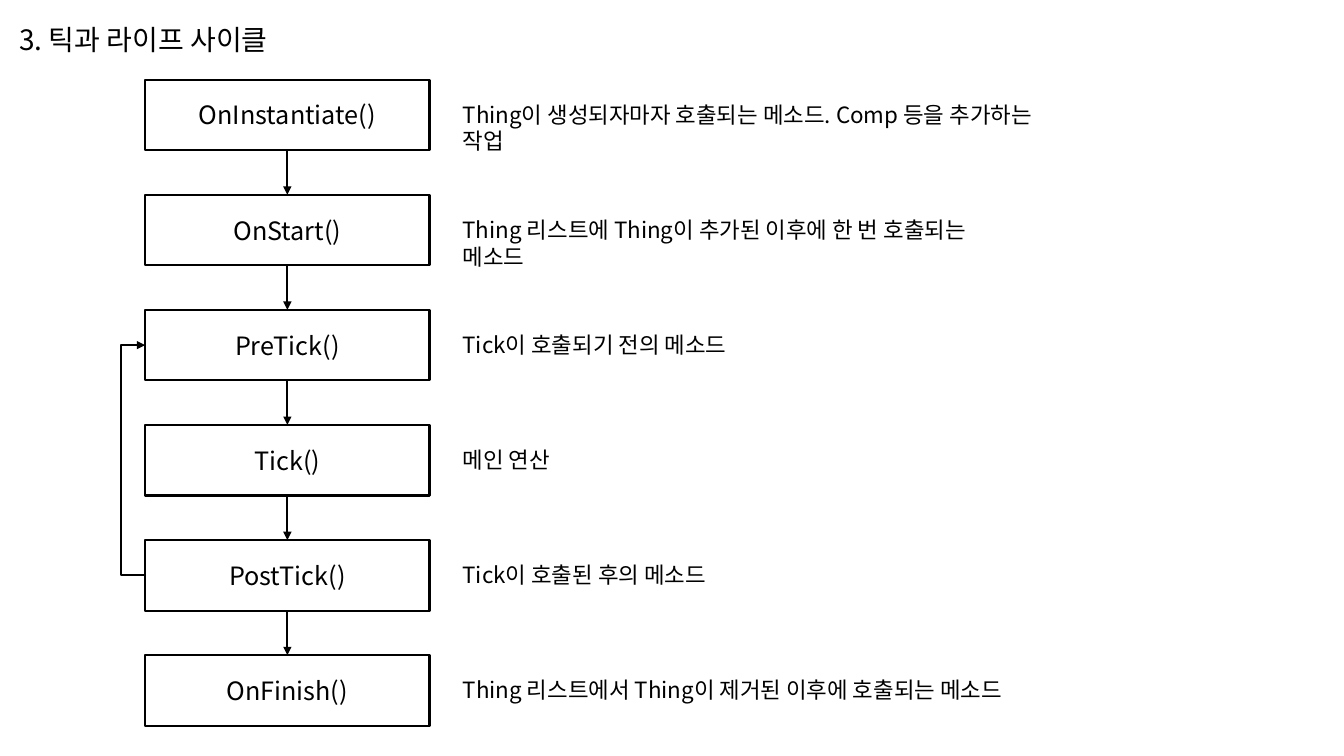
from dataclasses import dataclass

from lxml.etree import SubElement as Sub
from pptx import Presentation
from pptx.dml.color import RGBColor as Rgb
from pptx.enum.shapes import MSO_CONNECTOR as Link, MSO_SHAPE as Form
from pptx.enum.text import MSO_ANCHOR as Anchor, MSO_AUTO_SIZE as Fit, PP_ALIGN as Align
from pptx.oxml.ns import qn
from pptx.util import Inches, Pt


@dataclass(frozen=True)
class Theme:
    font: str = "Noto Sans CJK KR"
    ink: Rgb = Rgb(0, 0, 0)
    paper: Rgb = Rgb(255, 255, 255)
    head: int = 20
    label: int = 18
    note: int = 16
    line: float = 1.5


class Board:
    """Draws styled elements on one slide."""

    def __init__(self, slide, theme):
        self.slide = slide
        self.theme = theme

    def text(self, frame, words, size, align=Align.LEFT):
        para = frame.paragraphs[0]
        para.alignment = align
        run = para.add_run()
        run.text = words
        run.font.size = Pt(size)
        run.font.color.rgb = self.theme.ink
        run.font.name = self.theme.font
        Sub(run._r.get_or_add_rPr(), qn("a:ea"), typeface=self.theme.font)

    def flow(self, frame, words, size):
        frame.word_wrap = False
        frame.auto_size = Fit.SHAPE_TO_FIT_TEXT
        frame.vertical_anchor = Anchor.TOP
        self.text(frame, words, size)

    def title(self, words, left, top, width, height):
        head = self.slide.shapes.title
        head.left, head.top = Inches(left), Inches(top)
        head.width, head.height = Inches(width), Inches(height)
        self.flow(head.text_frame, words, self.theme.head)

    def note(self, words, left, top, width, height):
        area = map(Inches, (left, top, width, height))
        box = self.slide.shapes.add_textbox(*area)
        self.flow(box.text_frame, words, self.theme.note)

    def box(self, words, left, top, width, height):
        area = map(Inches, (left, top, width, height))
        box = self.slide.shapes.add_shape(Form.RECTANGLE, *area)
        box.shadow.inherit = False
        box.fill.solid()
        box.fill.fore_color.rgb = self.theme.paper
        box.line.color.rgb = self.theme.ink
        box.line.width = Pt(self.theme.line)
        box.text_frame.vertical_anchor = Anchor.MIDDLE
        self.text(box.text_frame, words, self.theme.label, Align.CENTER)
        return box

    def arrow(self, kind, start, end):
        ends = map(Inches, (*start, *end))
        link = self.slide.shapes.add_connector(kind, *ends)
        link.line.color.rgb = self.theme.ink
        link.line.width = Pt(self.theme.line)
        Sub(link.line._get_or_add_ln(), qn("a:tailEnd"), type="triangle")
        Sub(link._element.spPr, qn("a:effectLst"))
        return link

    def down(self, upper, lower):
        link = self.arrow(Link.STRAIGHT, (0, 0), (0, 0))
        link.begin_connect(upper, 2)
        link.end_connect(lower, 0)

    def loop(self, start, end, reach):
        link = self.arrow(Link.ELBOW, start, end)
        bend = round(reach / (start[0] - end[0]) * 100000)
        guides = link._element.spPr.find(qn("a:prstGeom")).get_or_add_avLst()
        Sub(guides, qn("a:gd"), name="adj1", fmla=f"val {bend}")


STEPS = [
    ("OnInstantiate()", "Thing이 생성되자마자 호출되는 메소드. Comp 등을 추가하는 작업", 6.25),
    ("OnStart()", "Thing 리스트에 Thing이 추가된 이후에 한 번 호출되는 메소드", 5.84),
    ("PreTick()", "Tick이 호출되기 전의 메소드", 2.86),
    ("Tick()", "메인 연산", 1.07),
    ("PostTick()", "Tick이 호출된 후의 메소드", 2.66),
    ("OnFinish()", "Thing 리스트에서 Thing이 제거된 이후에 호출되는 메소드", 5.58),
]
LEFT, WIDE, TALL = 1.44, 2.82, 0.7
FIRST, LAST = 0.79, 6.5


def main():
    deck = Presentation()
    deck.slide_width, deck.slide_height = Inches(13.33), Inches(7.5)
    board = Board(deck.slides.add_slide(deck.slide_layouts[5]), Theme())
    board.title("3. 틱과 라이프 사이클", 0.09, 0.17, 2.75, 0.44)

    pitch = (LAST - FIRST) / (len(STEPS) - 1)
    tops = [FIRST + pitch * i for i in range(len(STEPS))]
    boxes = []
    for top, (name, words, width) in zip(tops, STEPS):
        boxes.append(board.box(name, LEFT, top, WIDE, TALL))
        board.note(words, 4.49, top + 0.16, width, 0.37)
    for upper, lower in zip(boxes, boxes[1:]):
        board.down(upper, lower)

    pre, post = tops[2] + TALL / 2, tops[4] + TALL / 2
    board.loop((LEFT + 0.01, post), (LEFT, pre), 0.25)
    deck.save("out.pptx")


if __name__ == "__main__":
    main()
